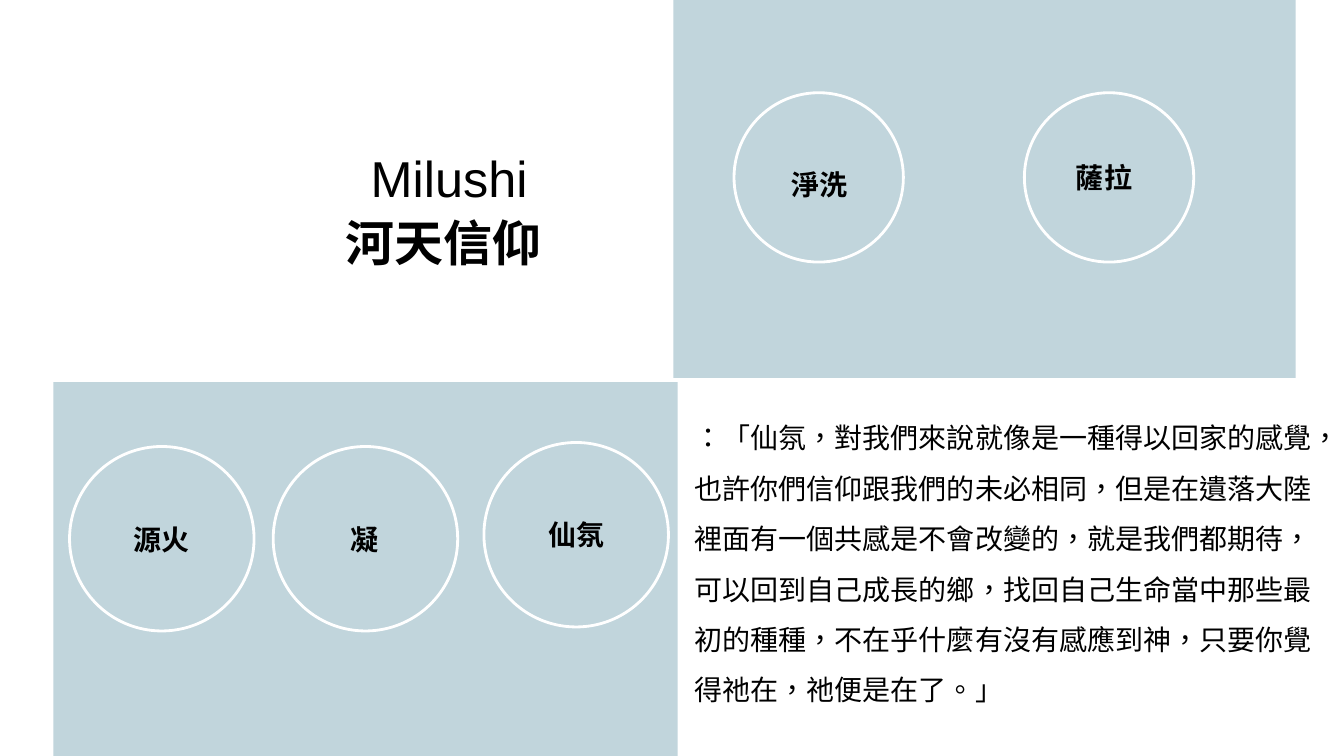
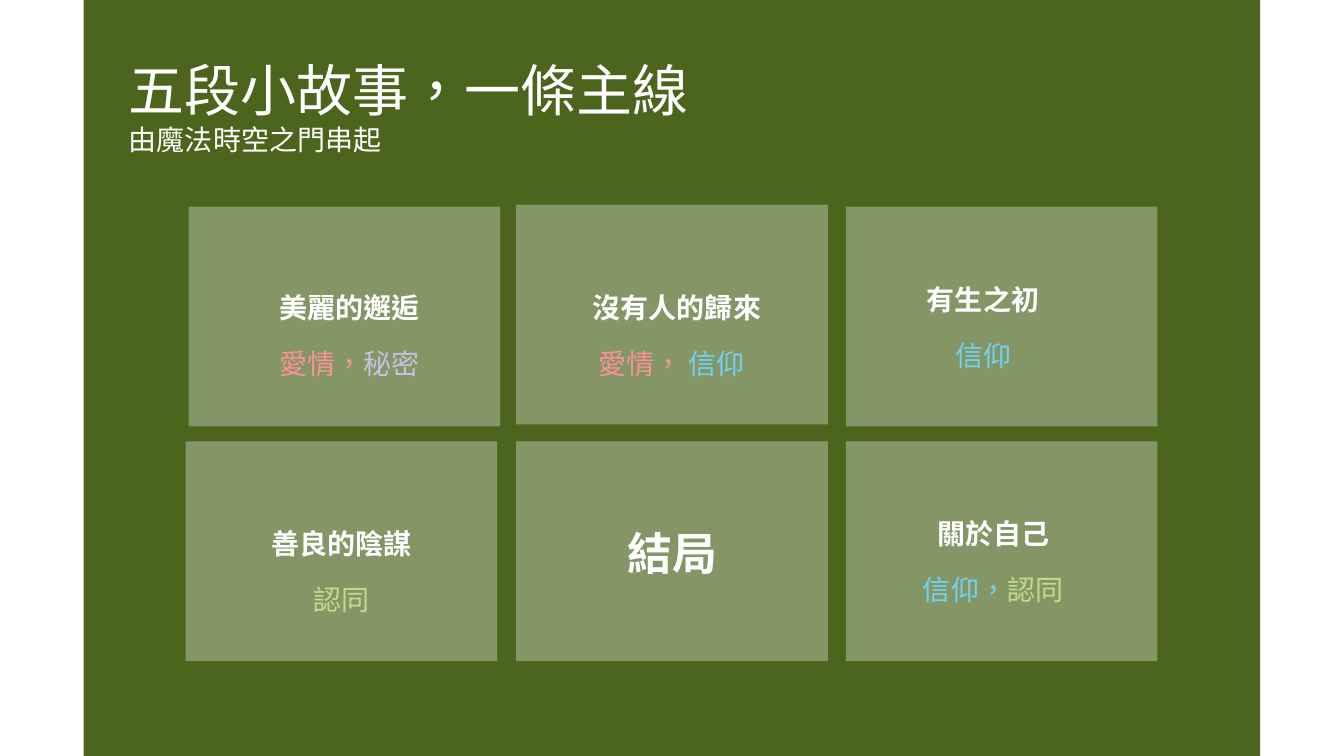
import pptx
import pptx.dml.color
import pptx.enum.lang
import pptx.enum.shapes
import pptx.enum.text
import pptx.oxml.ns
import pptx.util
from lxml import etree

Inches, Pt = pptx.util.Inches, pptx.util.Pt
RGBColor = pptx.dml.color.RGBColor
SHAPE = pptx.enum.shapes.MSO_SHAPE
ALIGN = pptx.enum.text.PP_ALIGN
ANCHOR = pptx.enum.text.MSO_ANCHOR
CHINESE = pptx.enum.lang.MSO_LANGUAGE_ID.TRADITIONAL_CHINESE

BLACK = RGBColor(0x00, 0x00, 0x00)
WHITE = RGBColor(0xFF, 0xFF, 0xFF)
TEAL = RGBColor(0x0A, 0x5A, 0x76)
GREEN = RGBColor(0x4B, 0x65, 0x1D)
PINK = RGBColor(0xFC, 0x90, 0x99)
LILAC = RGBColor(0xC9, 0xC0, 0xE4)
SKY = RGBColor(0x72, 0xD2, 0xF3)
LIME = RGBColor(0xC0, 0xDE, 0x8A)

CARD_W, CARD_H = 3.09, 2.18
CAPTION_W, LABEL_H = 1.82, 0.44


class Deck:
    font = "Montserrat"
    size = 20

    def __init__(self):
        self.prs = pptx.Presentation()
        self.prs.slide_width, self.prs.slide_height = Inches(13.33), Inches(7.5)
        self.s = None

    def new_slide(self):
        self.s = self.prs.slides.add_slide(self.prs.slide_layouts[6])

    def rect(self, x, y, w, h, color, opacity=100):
        sp = self.s.shapes.add_shape(SHAPE.RECTANGLE, Inches(x), Inches(y), Inches(w), Inches(h))
        sp.shadow.inherit = False
        sp.line.fill.background()
        sp.fill.solid()
        sp.fill.fore_color.rgb = color
        if opacity < 100:
            clr = next(sp.element.spPr.iter(pptx.oxml.ns.qn("a:srgbClr")))
            etree.SubElement(clr, pptx.oxml.ns.qn("a:alpha"), val=str(opacity * 1000))

    def ring(self, x, y, d):
        sp = self.s.shapes.add_shape(SHAPE.OVAL, Inches(x), Inches(y), Inches(d), Inches(d))
        sp.shadow.inherit = False
        sp.fill.background()
        sp.line.color.rgb = WHITE
        sp.line.width = Pt(2)

    def box(self, x, y, w, h, parent=None, anchor=ANCHOR.TOP, wrap=True):
        """Add an empty text box to the slide or a group; return its text frame."""
        shapes = (parent or self.s).shapes
        tf = shapes.add_textbox(Inches(x), Inches(y), Inches(w), Inches(h)).text_frame
        tf.word_wrap = wrap
        tf.vertical_anchor = anchor
        return tf

    def para(self, tf, runs, color=BLACK, size=size, bold=False, align=ALIGN.LEFT,
             spacing=None, font=font):
        """Fill one paragraph; runs is a string or a list of (text, colour)."""
        p = tf.paragraphs[-1]
        if p.runs:
            p = tf.add_paragraph()
        p.alignment = align
        p.line_spacing = spacing
        f = p.font
        f.name, f.size, f.bold, f.language_id = font, Pt(size), bold, CHINESE
        if isinstance(runs, str):
            f.color.rgb = color
            p.add_run().text = runs
            return
        for text, run_color in runs:
            r = p.add_run()
            r.text = text
            r.font.color.rgb = run_color

    def label(self, x, y, w, text):
        tf = self.box(x, y, w, LABEL_H, anchor=ANCHOR.MIDDLE)
        self.para(tf, text, bold=True, align=ALIGN.CENTER)

    def caption(self, x, y, name, themes, name_w=CAPTION_W):
        """Group a story's name with its coloured themes below."""
        group = self.s.shapes.add_group_shape()
        self.para(self.box(x, y, name_w, LABEL_H, group), name, WHITE,
                  bold=True, align=ALIGN.CENTER)
        self.para(self.box(x, y + 0.39, CAPTION_W, 0.55, group), themes,
                  align=ALIGN.CENTER, spacing=1.5)


def faith_slide(deck):
    deck.new_slide()
    deck.rect(0.53, 3.79, 6.19, 3.75, TEAL, 25)
    deck.rect(6.68, 0, 6.17, 3.75, TEAL, 25)

    tf = deck.box(1.84, 1.39, 3.63, 1.33)
    deck.para(tf, "Milushi ", size=36, align=ALIGN.RIGHT, spacing=Pt(45), font="Arial")
    deck.para(tf, "河天信仰", size=35, bold=True, align=ALIGN.RIGHT, spacing=Pt(45))

    deck.para(deck.box(6.79, 3.96, 6.54, 3.08),
              "：「仙氛，對我們來說就像是一種得以回家的感覺，也許你們信仰跟我們的未必相同，"
              "但是在遺落大陸裡面有一個共感是不會改變的，就是我們都期待，可以回到自己成長的鄉，"
              "找回自己生命當中那些最初的種種，不在乎什麼有沒有感應到神，只要你覺得祂在，"
              "祂便是在了。」", spacing=1.5)

    for x, y, d in ((0.69, 4.43, 1.83), (2.71, 4.43, 1.83), (4.8, 4.39, 1.83),
                    (7.28, 0.92, 1.68), (10.16, 0.92, 1.68)):
        deck.ring(x, y, d)
    for x, y, w, text in ((0.91, 5.13, 1.39, "源火"), (2.92, 5.13, 1.39, "凝"),
                          (5.02, 5.08, 1.39, "仙氛"), (7.49, 1.61, 1.28, "淨洗"),
                          (10.31, 1.54, 1.28, "薩拉")):
        deck.label(x, y, w, text)


def stories_slide(deck):
    deck.new_slide()
    deck.rect(0.83, 0, 11.67, 7.5, GREEN)
    for x, y in ((1.87, 2.05), (5.12, 2.03), (8.39, 2.05),
                 (1.84, 4.38), (5.12, 4.38), (8.39, 4.38)):
        deck.rect(x, y, CARD_W, CARD_H, WHITE, 32)

    tf = deck.box(1.18, 0.5, 5.81, 1.11, wrap=False)
    deck.para(tf, "五段小故事，一條主線", WHITE, size=40)
    deck.para(tf, "由魔法時空之門串起", WHITE)

    deck.caption(2.56, 2.83, "美麗的邂逅", [("愛情，", PINK), ("秘密", LILAC)])
    deck.caption(5.75, 2.83, "沒有人的歸來", [("愛情， ", PINK), ("信仰", SKY)], name_w=1.93)
    deck.caption(8.84, 2.75, "有生之初", [("信仰", SKY)])
    deck.caption(2.48, 5.17, "善良的陰謀", [("認同", LIME)])
    deck.caption(8.94, 5.07, "關於自己", [("信仰，", SKY), ("認同", LIME)])
    deck.para(deck.box(5.94, 5.17, 1.46, 0.64), "結局", WHITE, size=32,
              bold=True, align=ALIGN.CENTER)


def main():
    deck = Deck()
    faith_slide(deck)
    stories_slide(deck)
    deck.prs.save("out.pptx")


if __name__ == "__main__":
    main()
